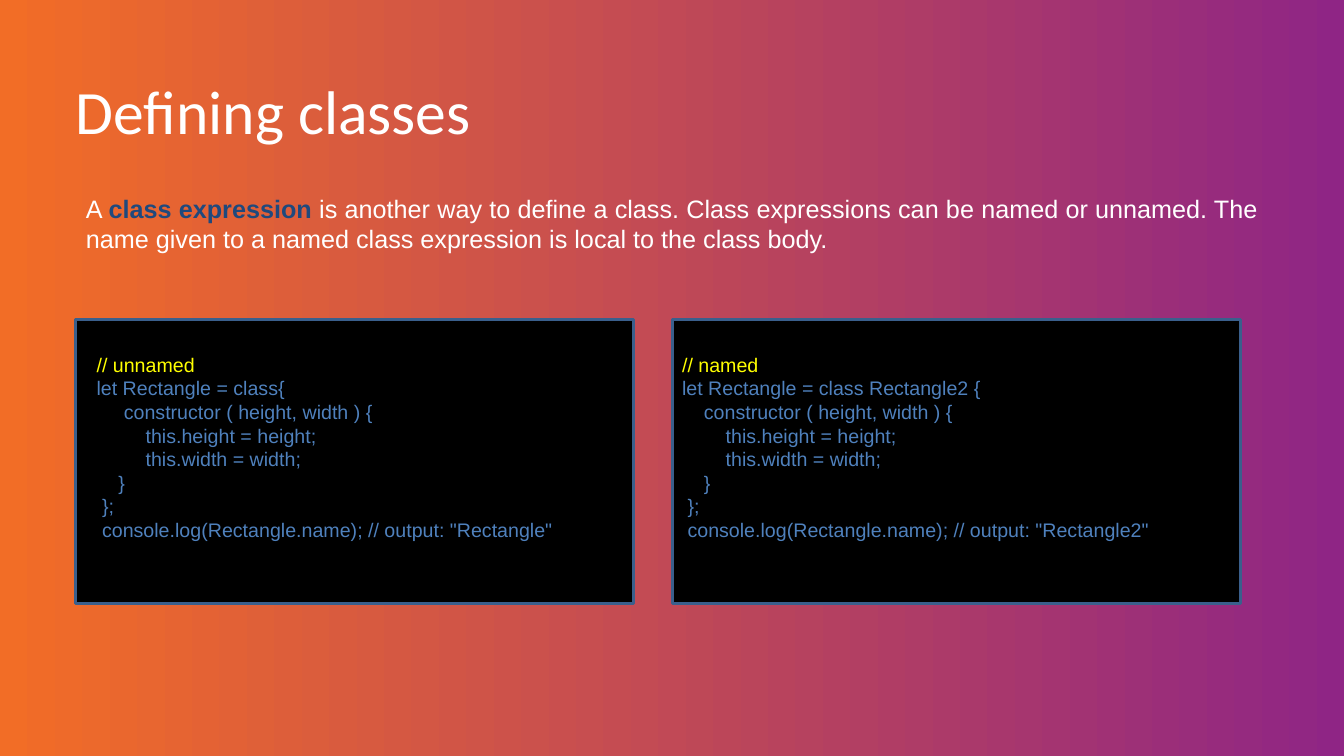
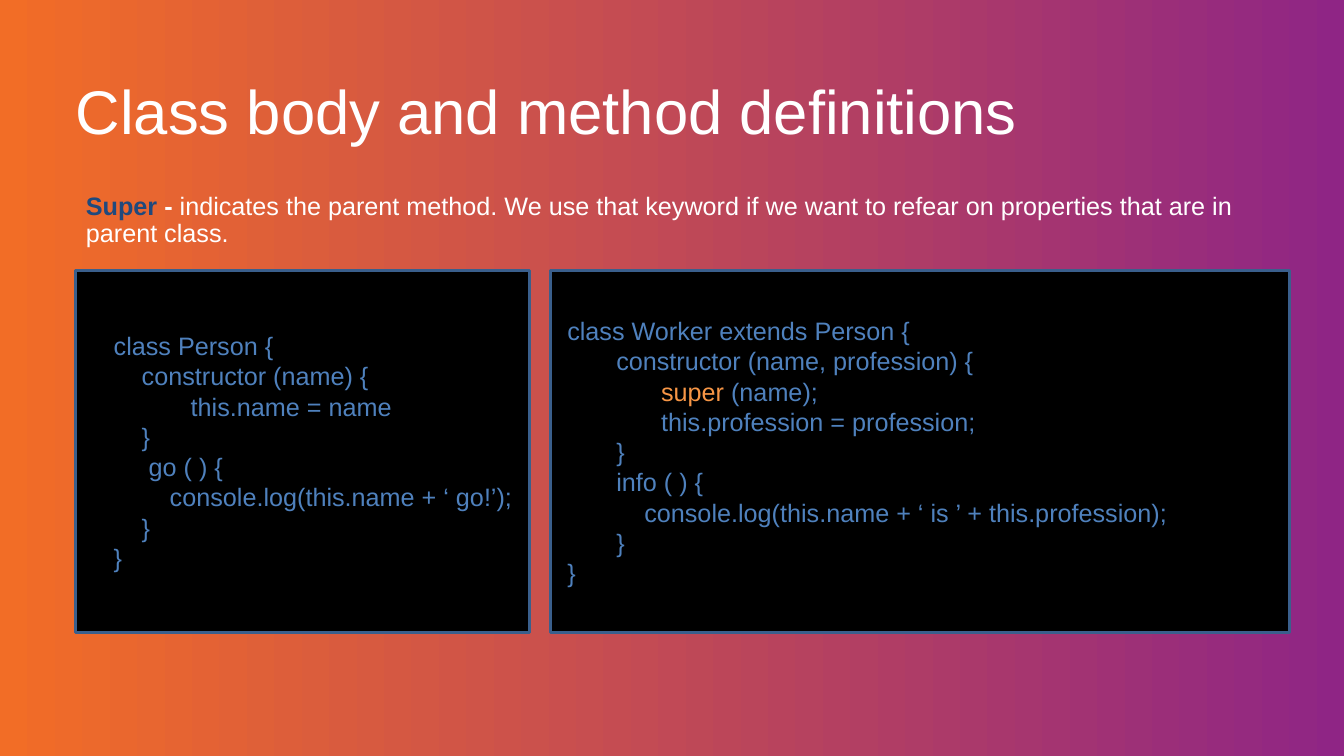
"""Build two slides on JavaScript classes."""
from lxml import etree
from pptx import Presentation
from pptx import util as u
from pptx.dml.color import RGBColor
from pptx.enum import shapes, text
from pptx.oxml import ns

WHITE = RGBColor(0xFF, 0xFF, 0xFF)
BLACK = RGBColor(0x00, 0x00, 0x00)
NAVY = RGBColor(0x1F, 0x49, 0x7D)
CODE_BLUE = RGBColor(0x4F, 0x81, 0xBD)
BORDER_BLUE = RGBColor(0x3A, 0x5F, 0x8C)
YELLOW = RGBColor(0xFF, 0xFF, 0x00)
KEYWORD_ORANGE = RGBColor(0xF7, 0x96, 0x46)
PURPLE = RGBColor(0x8F, 0x25, 0x85)
ORANGE = RGBColor(0xF2, 0x6D, 0x26)

LEFT = u.Cm(1.91)
CONTENT_WIDTH = u.Cm(30.05)
SPACE_WIDTH = 0.278
TAB_COLUMN = 14.4

UNNAMED_CLASS = [
    (2, ("// unnamed", YELLOW)),
    (2, "let Rectangle = class{"),
    (7, "constructor ( height, width ) {"),
    (11, "this.height = height;"),
    (11, "this.width = width;"),
    (6, "}"),
    (3, "};"),
    (3, 'console.log(Rectangle.name); // output: "Rectangle"'),
]
NAMED_CLASS = [
    (0, ("// named", YELLOW)),
    (0, "let Rectangle = class Rectangle2 {"),
    (4, "constructor ( height, width ) {"),
    (8, "this.height = height;"),
    (8, "this.width = width;"),
    (4, "}"),
    (1, "};"),
    (1, 'console.log(Rectangle.name); // output: "Rectangle2"'),
]
PERSON_CLASS = [
    (4, "class Person {"),
    (8, "constructor (name) {"),
    (15, "this.name = name"),
    (8, "}"),
    (9, "go ( ) {"),
    (12, "console.log(this.name + ‘ go!’);"),
    (8, "}"),
    (4, "}"),
]
WORKER_CLASS = [
    (1, "class Worker extends Person {"),
    (8, "constructor (name, profession) {"),
    (TAB_COLUMN, ("super", KEYWORD_ORANGE), " (name);"),
    (TAB_COLUMN, "this.profession = profession;"),
    (8, "}"),
    (8, "info ( ) {"),
    (12, "console.log(this.name + ‘ is ’ + this.profession);"),
    (8, "}"),
    (1, "}"),
]


def add_run(paragraph, words, size=18, color=WHITE, bold=False, font="Arial"):
    """Append formatted text to a paragraph."""
    run = paragraph.add_run()
    run.text = words
    run.font.name = font
    run.font.size = u.Pt(size)
    run.font.bold = bold
    run.font.color.rgb = color


def set_indent(paragraph, points):
    """Indent a whole paragraph and leave it without a bullet."""
    properties = paragraph._p.get_or_add_pPr()
    properties.set("marL", str(int(u.Pt(points))))
    properties.set("indent", "0")
    etree.SubElement(properties, ns.qn("a:buNone"))


def style_master(presentation):
    """Give every slide the purple and orange gradient."""
    fill = presentation.slide_master.background.fill
    fill.gradient()
    fill.gradient_angle = 180
    for stop, position, color in zip(fill.gradient_stops, (0, 1), (PURPLE, ORANGE)):
        stop.position = position
        stop.color.rgb = color


def place(shape, top, height):
    """Put a placeholder across the content width."""
    shape.left, shape.top = LEFT, u.Cm(top)
    shape.width, shape.height = CONTENT_WIDTH, u.Cm(height)
    frame = shape.text_frame
    frame.word_wrap = True
    frame.auto_size = text.MSO_AUTO_SIZE.NONE
    frame.vertical_anchor = text.MSO_ANCHOR.TOP
    return frame


def add_title(slide, words, font):
    """Fill the title placeholder."""
    frame = place(slide.shapes.title, 1.91, 1.91)
    frame.margin_left = 0
    paragraph = frame.paragraphs[0]
    paragraph.alignment = text.PP_ALIGN.LEFT
    paragraph.line_spacing = 0.9
    add_run(paragraph, words, size=44, font=font)


def add_body(slide, runs, height, alignment=text.PP_ALIGN.LEFT, line_spacing=1.0):
    """Fill the body placeholder with one paragraph of runs."""
    paragraph = place(slide.placeholders[1], 4.75, height).paragraphs[0]
    paragraph.alignment = alignment
    paragraph.line_spacing = line_spacing
    paragraph.space_before = u.Pt(0)
    set_indent(paragraph, 0)
    for words, color, bold in runs:
        add_run(paragraph, words, color=color, bold=bold)


def add_code_box(slide, lines, left, top, width, height, size=18, bottom_inset=0.13):
    """Draw a black box with indented lines of code."""
    box = slide.shapes.add_shape(
        shapes.MSO_SHAPE.RECTANGLE, left, u.Cm(top), u.Cm(width), u.Cm(height))
    box.shadow.inherit = False
    box.fill.solid()
    box.fill.fore_color.rgb = BLACK
    box.line.color.rgb = BORDER_BLUE
    box.line.width = u.Pt(2)
    frame = box.text_frame
    frame.word_wrap = True
    frame.vertical_anchor = text.MSO_ANCHOR.MIDDLE
    frame.margin_bottom = u.Cm(bottom_inset)
    for index, (column, *runs) in enumerate(lines):
        paragraph = frame.add_paragraph() if index else frame.paragraphs[0]
        paragraph.alignment = text.PP_ALIGN.LEFT
        set_indent(paragraph, column * SPACE_WIDTH * size)
        for run in runs:
            words, color = (run, CODE_BLUE) if isinstance(run, str) else run
            add_run(paragraph, words, size=size, color=color)


def add_expressions_slide(presentation, layout):
    """Add the slide on class expressions."""
    slide = presentation.slides.add_slide(layout)
    add_title(slide, "Defining classes", "Calibri")
    add_body(slide, [
        ("A ", WHITE, False),
        ("class expression ", NAVY, True),
        ("is another way to define a class. Class expressions can be named or unnamed. "
         "The name given to a named class expression is local to the class body.",
         WHITE, False),
    ], height=1.98, alignment=text.PP_ALIGN.JUSTIFY)
    box_format = {"top": 8.05, "height": 7.16, "size": 14, "bottom_inset": 0.86}
    add_code_box(slide, UNNAMED_CLASS, LEFT, width=14.05, **box_format)
    add_code_box(slide, NAMED_CLASS, u.Cm(16.94), width=14.33, **box_format)


def add_super_slide(presentation, layout):
    """Add the slide on the super keyword."""
    slide = presentation.slides.add_slide(layout)
    add_title(slide, "Class body and method definitions", "Arial")
    add_body(slide, [
        ("Super ", NAVY, True),
        ("- ", WHITE, True),
        ("indicates the parent method. We use that keyword if we want to refear on "
         "properties that are in parent class.", WHITE, False),
    ], height=1.65, line_spacing=0.9)
    box_format = {"top": 6.81, "height": 9.14}
    add_code_box(slide, PERSON_CLASS, LEFT, width=11.43, **box_format)
    add_code_box(slide, WORKER_CLASS, u.Cm(13.87), width=18.62, **box_format)


def main():
    """Build and save the presentation."""
    presentation = Presentation()
    presentation.slide_width = u.Cm(33.87)
    presentation.slide_height = u.Cm(19.05)
    style_master(presentation)
    layout = presentation.slide_layouts.get_by_name("Title and Content")
    add_expressions_slide(presentation, layout)
    add_super_slide(presentation, layout)
    presentation.save("out.pptx")


if __name__ == "__main__":
    main()
